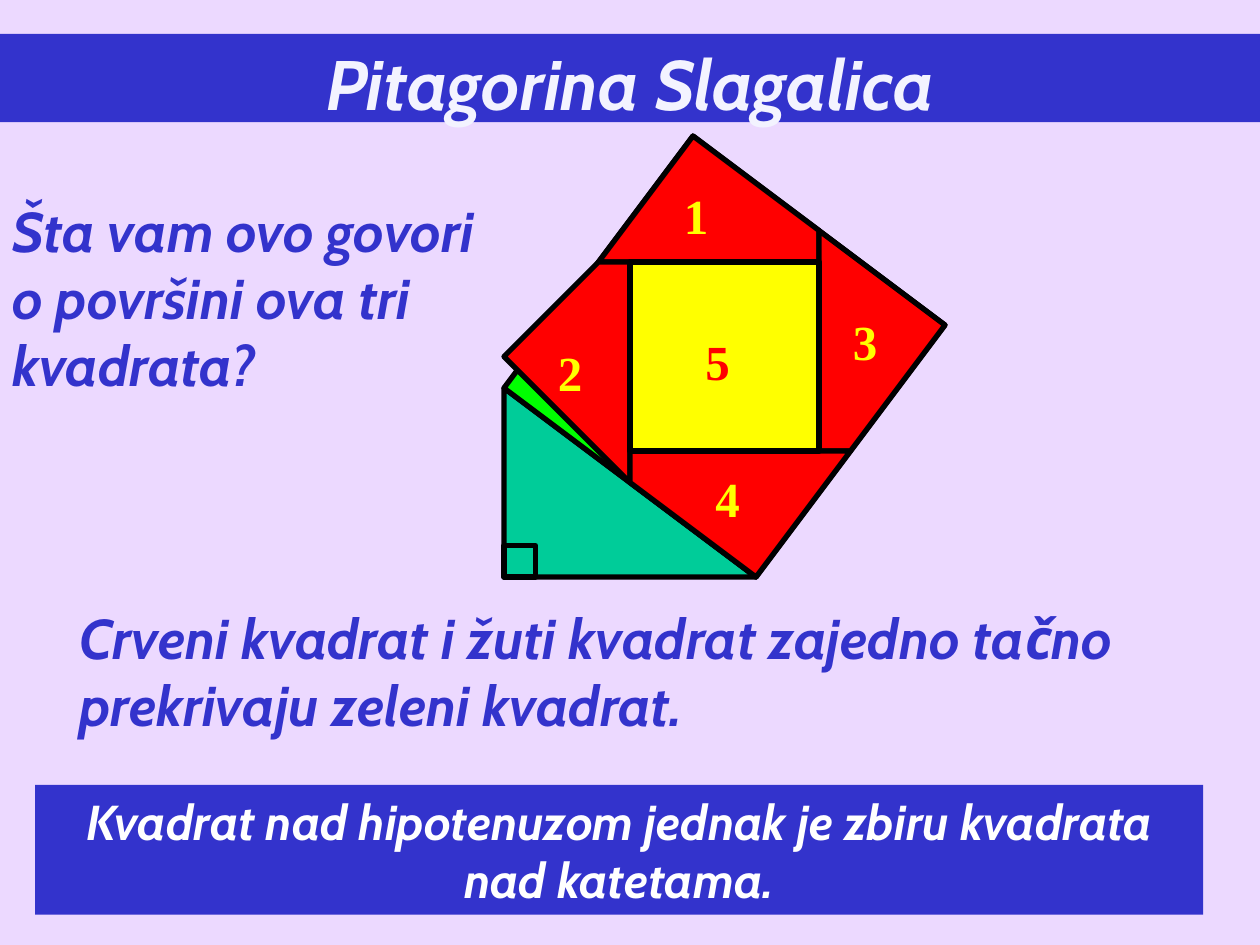
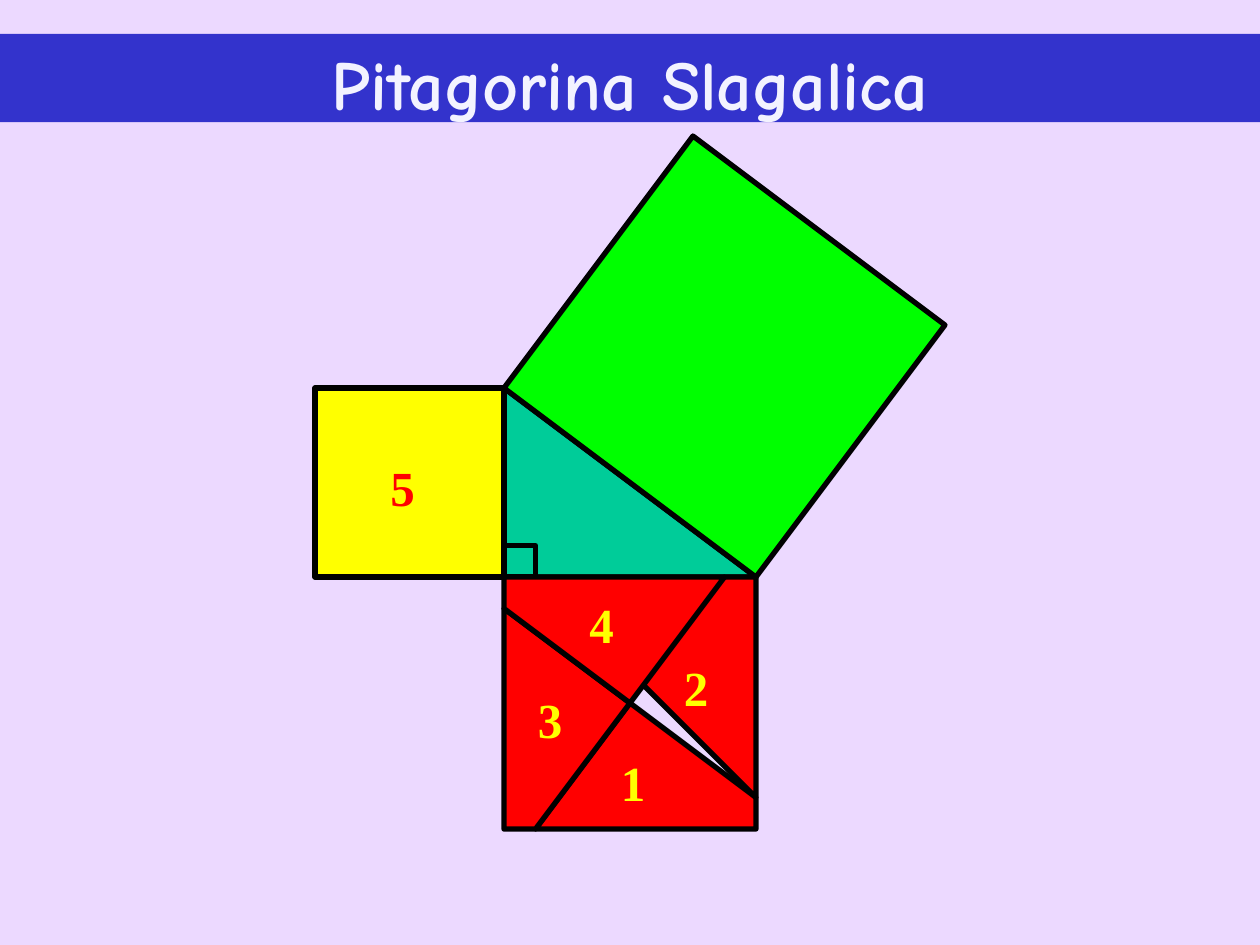
from dataclasses import dataclass
from lxml import etree
from pptx import Presentation
from pptx.dml.color import RGBColor
from pptx.enum.shapes import MSO_SHAPE
from pptx.enum.text import MSO_ANCHOR, PP_ALIGN
from pptx.oxml.ns import qn
from pptx.util import Inches, Pt

RECT = MSO_SHAPE.RECTANGLE
WEDGE = MSO_SHAPE.RIGHT_TRIANGLE
TOP = MSO_ANCHOR.TOP
LEFT, MID = PP_ALIGN.LEFT, PP_ALIGN.CENTER


@dataclass(frozen=True)
class Theme:
    page: str = "ECD9FF"
    blue: str = "3333CC"
    pale: str = "F3F3FF"
    white: str = "FFFFFF"
    teal: str = "00CC99"
    green: str = "00FF00"
    red: str = "FF0000"
    yellow: str = "FFFF00"
    ink: str = "000000"
    sans: str = "Cabin"
    comic: str = "Comic Neue"
    serif: str = "Times New Roman"
    head: int = 40
    body: int = 32
    note: int = 28
    line: int = 3


T = Theme()
WIDTH, HEIGHT = 10, 7.5
UNIT = 0.25
CORNER = (4, 4.58)
SHORT, LONG = 6, 8
TITLE = "Pitagorina Slagalica"


@dataclass(frozen=True)
class Piece:
    name: str
    points: tuple
    label: tuple
    fill: str = T.red
    color: str = T.yellow


PIECES = (
    Piece("1", ((3, 0), (7, 3), (7, 4), (0, 4)), (0.58, 0.34)),
    Piece("2", ((3, 0), (4, 0), (4, 7), (0, 3)), (0.33, 0.59)),
    Piece("3", ((0, 0), (0, 7), (1, 7), (4, 3)), (0.17, 0.59)),
    Piece("4", ((0, 0), (7, 0), (4, 4), (0, 1)), (0.58, 0.09)),
    Piece("5", ((0, 0), (SHORT, 0), (SHORT, SHORT), (0, SHORT)),
          (0.5, 0.5), T.yellow, T.red),
)
JOINED = ((3, -14), (0, -10), (10, -11), (4, -4), (4, -10))
APART = ((1, 4), (4, 0), (0, 1), (0, 0), (-SHORT, -SHORT))


def paint(shape, fill, edge=True):
    shape.shadow.inherit = False
    shape.fill.solid()
    shape.fill.fore_color.rgb = RGBColor.from_string(fill)
    if edge:
        shape.line.color.rgb = RGBColor.from_string(T.ink)
        shape.line.width = Pt(T.line)
    else:
        shape.line.fill.background()


def spot(col, row):
    return CORNER[0] + col * UNIT, CORNER[1] + row * UNIT


def block(shapes, kind, col, row, cols, rows, fill):
    box = (*spot(col, row), cols * UNIT, rows * UNIT)
    paint(shapes.add_shape(kind, *map(Inches, box)), fill)


def outline(shapes, points, fill, col=0, row=0):
    dots = [tuple(map(Inches, spot(col + x, row + y))) for x, y in points]
    path = shapes.build_freeform(*dots[0])
    path.add_line_segments(dots[1:], close=True)
    paint(path.convert_to_shape(), fill)


def write(shape, text, font, size, color, italic=True, align=LEFT, gap=50):
    frame = shape.text_frame
    frame.word_wrap = True
    frame.vertical_anchor = TOP
    para = frame.paragraphs[0]
    para.text = text
    para.alignment = align
    para.space_before = Pt(0)
    before = para._p.pPr.find(qn("a:spcBef"))
    before.remove(before[0])
    etree.SubElement(before, qn("a:spcPct")).set("val", str(gap * 1000))
    para.font.name = font
    para.font.size = Pt(size)
    para.font.bold = True
    para.font.italic = italic
    para.font.color.rgb = RGBColor.from_string(color)


def words(shapes, box, text, font=T.sans, size=T.body, color=T.blue,
          italic=True):
    shape = shapes.add_textbox(*map(Inches, box))
    write(shape, text, font, size, color, italic)


def band(slide, box, text, **style):
    shape = slide.shapes.add_shape(RECT, *map(Inches, box))
    paint(shape, T.blue, False)
    write(shape, text, align=MID, **style)


def header(slide, font, italic):
    band(slide, (0, 0.27, WIDTH, 0.7), TITLE, font=font, size=T.head,
         color=T.pale, italic=italic, gap=20)


def puzzle(slide, places):
    shapes = slide.shapes
    block(shapes, WEDGE, 0, -SHORT, LONG, SHORT, T.teal)
    square = ((0, -SHORT), (SHORT, -SHORT - LONG),
              (SHORT + LONG, -LONG), (LONG, 0))
    outline(shapes, square, T.green)
    block(shapes, RECT, 0, -1, 1, 1, T.teal)
    for piece, (col, row) in zip(PIECES, places):
        group = shapes.add_group_shape().shapes
        outline(group, piece.points, piece.fill, col, row)
        left, top = spot(col, row)
        box = (left + piece.label[0], top + piece.label[1], 0.58, 0.57)
        words(group, box, piece.name, T.serif, T.note, piece.color, False)


def start(deck):
    slide = deck.slides.add_slide(deck.slide_layouts[6])
    slide.background.fill.solid()
    slide.background.fill.fore_color.rgb = RGBColor.from_string(T.page)
    return slide


def proof(deck):
    slide = start(deck)
    puzzle(slide, JOINED)
    words(slide.shapes, (0, 1.51, 4.03, 1.72),
          "Šta vam ovo govori o površini ova tri kvadrata?")
    words(slide.shapes, (0.53, 4.74, 8.84, 1.17),
          "Crveni kvadrat i žuti kvadrat zajedno tačno prekrivaju "
          "zeleni kvadrat.")
    band(slide, (0.28, 6.23, 9.27, 1.03),
         "Kvadrat nad hipotenuzom jednak je zbiru kvadrata nad katetama.",
         font=T.sans, size=T.note, color=T.white)
    header(slide, T.sans, True)


def parts(deck):
    slide = start(deck)
    puzzle(slide, APART)
    header(slide, T.comic, False)


def main():
    deck = Presentation()
    deck.slide_width, deck.slide_height = Inches(WIDTH), Inches(HEIGHT)
    proof(deck)
    parts(deck)
    deck.save("out.pptx")


if __name__ == "__main__":
    main()
